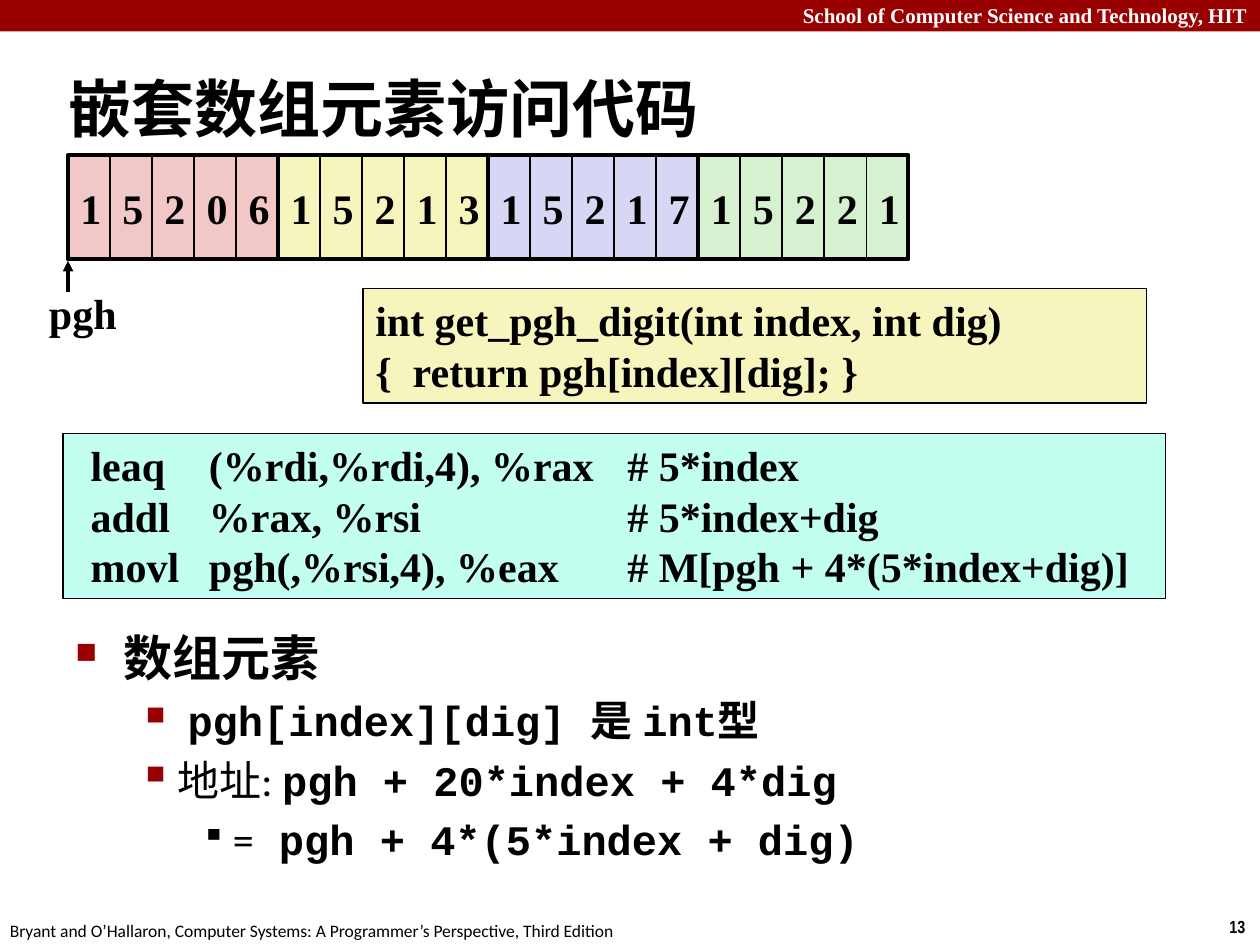
import pptx
import pptx.util
import pptx.dml.color
import pptx.enum.shapes
import pptx.enum.text
import pptx.oxml.ns
from lxml import etree

Inches = pptx.util.Inches
Pt = pptx.util.Pt
SERIF = "Times New Roman"
MONO = "Courier New"
RED = "990000"
YELLOW = "F6F5BD"


def color(value):
    return pptx.dml.color.RGBColor.from_string(value)


def add_element(parent, tag, **attributes):
    e = etree.SubElement(parent, pptx.oxml.ns.qn(tag))
    for name, value in attributes.items():
        e.set(name, str(value))
    return e


def add_text(p, text, size=24, font=SERIF, fill="000000", bold=True):
    r = p.add_run()
    r.text = text
    r.font.size = Pt(size)
    r.font.name = font
    r.font.bold = bold
    r.font.color.rgb = color(fill)
    return r


def add_box(s, box, wrap=True):
    sp = s.shapes.add_textbox(*map(Inches, box))
    sp.text_frame.word_wrap = wrap
    return sp.text_frame


def add_rect(s, box, fill=None, line="000000", width=1):
    sp = s.shapes.add_shape(pptx.enum.shapes.MSO_SHAPE.RECTANGLE, *map(Inches, box))
    sp.shadow.inherit = False
    if fill:
        sp.fill.solid()
        sp.fill.fore_color.rgb = color(fill)
    else:
        sp.fill.background()
    if line:
        sp.line.color.rgb = color(line)
        sp.line.width = Pt(width)
    else:
        sp.line.fill.background()
    return sp


def add_header(s, box):
    left, top, width, height = box
    add_rect(s, box, RED, line=None)
    tf = add_box(s, (left, top - 0.03, width, height + 0.05))
    p = tf.paragraphs[0]
    p.alignment = pptx.enum.text.PP_ALIGN.RIGHT
    add_text(p, "School of Computer Science and Technology, HIT", 12, fill="FFFFFF")


def add_footer(s, box):
    left, top, width, height = box
    tf = add_box(s, (left, top, 5.08, height), wrap=False)
    add_text(tf.paragraphs[0], "Bryant and O’Hallaron, Computer Systems: "
             "A Programmer’s Perspective, Third Edition", 10, "Calibri", bold=False)
    tf = add_box(s, (left + width - 0.34, top - 0.03, 0.34, height), wrap=False)
    add_text(tf.paragraphs[0], "13", 10, "Arial Narrow")


def add_title(s, box):
    sp = s.shapes.title
    sp.left, sp.top, sp.width, sp.height = map(Inches, box)
    tf = sp.text_frame
    tf.auto_size = pptx.enum.text.MSO_AUTO_SIZE.NONE
    tf.vertical_anchor = pptx.enum.text.MSO_ANCHOR.MIDDLE
    p = tf.paragraphs[0]
    p.alignment = pptx.enum.text.PP_ALIGN.LEFT
    add_text(p, "嵌套数组元素访问代码", 36, "Calibri")


def add_array(s, box):
    left, top, width, height = box
    rows = [("15206", "F1C7C7"), ("15213", YELLOW), ("15217", "D6D6F5"), ("15221", "D5F1CF")]
    row_width = width / len(rows)
    for i, (digits, fill) in enumerate(rows):
        row_left = left + i * row_width
        cell = row_width / len(digits)
        for j, digit in enumerate(digits):
            sp = add_rect(s, (row_left + j * cell, top, cell, height), fill)
            tf = sp.text_frame
            tf.word_wrap = False
            tf.vertical_anchor = pptx.enum.text.MSO_ANCHOR.MIDDLE
            p = tf.paragraphs[0]
            p.alignment = pptx.enum.text.PP_ALIGN.LEFT
            add_text(p, digit)
    for i in range(len(rows)):
        add_rect(s, (left + i * row_width, top, row_width, height), width=2.25)


def add_pointer(s, box):
    left, top, width, height = box
    x = Inches(left + 0.25)
    line = s.shapes.add_connector(pptx.enum.shapes.MSO_CONNECTOR.STRAIGHT,
                                  x, Inches(top + 0.25), x, Inches(top))
    line.line.color.rgb = color("000000")
    line.line.width = Pt(2)
    add_element(line.line._get_or_add_ln(), "a:tailEnd", type="triangle")
    add_element(line._element.spPr, "a:effectLst")
    tf = add_box(s, (left, top + 0.16, width, height - 0.16), wrap=False)
    add_text(tf.paragraphs[0], "pgh")


def add_code(s, box, fill, lines, tabs=()):
    tf = add_rect(s, box, fill).text_frame
    tf.word_wrap = True
    tf.vertical_anchor = pptx.enum.text.MSO_ANCHOR.TOP
    for i, line in enumerate(lines):
        p = tf.add_paragraph() if i else tf.paragraphs[0]
        p.alignment = pptx.enum.text.PP_ALIGN.LEFT
        if tabs:
            stops = add_element(p._p.get_or_add_pPr(), "a:tabLst")
            for tab in tabs:
                add_element(stops, "a:tab", pos=Inches(tab), algn="l")
        add_text(p, line)


def add_bullets(s, box):
    tf = add_box(s, box)
    plain = dict(font="Calibri", bold=False)
    items = [
        (0, 0.38, 0.38, "■", 60, RED, [("数组元素", dict(size=28, font="Calibri"))]),
        (1, 0.89, 0.39, "▪", 110, RED, [("pgh[index][dig] ", dict(font=MONO)),
                                        ("是 ", dict(font="Calibri")),
                                        ("int型", dict(font=MONO))]),
        (1, 0.81, 0.31, "▪", 110, RED, [("地址: ", plain),
                                        ("pgh + 20*index + 4*dig", dict(font=MONO))]),
        (2, 1.25, 0.25, "▪", 80, "000000", [("=", plain),
                                            (" pgh + 4*(5*index + dig)", dict(font=MONO))]),
    ]
    for i, (level, margin, hang, char, percent, fill, runs) in enumerate(items):
        p = tf.add_paragraph() if i else tf.paragraphs[0]
        p.level = level
        if i:
            p.space_before = Pt(5)
        pPr = p._p.get_or_add_pPr()
        pPr.set("marL", str(Inches(margin)))
        pPr.set("indent", str(-Inches(hang)))
        add_element(add_element(pPr, "a:buClr"), "a:srgbClr", val=fill)
        add_element(pPr, "a:buSzPct", val=percent * 1000)
        add_element(pPr, "a:buChar", char=char)
        for text, style in runs:
            add_text(p, text, **style)


def main():
    prs = pptx.Presentation()
    prs.slide_width = Inches(10)
    prs.slide_height = Inches(7.5)
    s = prs.slides.add_slide(prs.slide_layouts[5])
    add_header(s, (0, 0, 10, 0.25))
    add_footer(s, (-0.02, 7.25, 10.02, 0.27))
    add_title(s, (0.44, 0.54, 9.06, 0.63))
    add_bullets(s, (0.5, 4.93, 9.1, 1.91))
    add_code(s, (2.88, 2.29, 6.22, 0.91), YELLOW,
             ["int get_pgh_digit(int index, int dig)", "{  return pgh[index][dig]; }"])
    add_code(s, (0.5, 3.44, 8.75, 1.31), "C2FFF0",
             ["\tleaq\t(%rdi,%rdi,4), %rax\t# 5*index",
              "\taddl\t%rax, %rsi\t# 5*index+dig",
              "\tmovl\tpgh(,%rsi,4), %eax\t# M[pgh + 4*(5*index+dig)]"],
             tabs=(0.12, 1.06, 4.38))
    add_pointer(s, (0.29, 2.07, 0.75, 0.66))
    add_array(s, (0.54, 1.23, 6.67, 0.83))
    prs.save("out.pptx")


if __name__ == "__main__":
    main()
